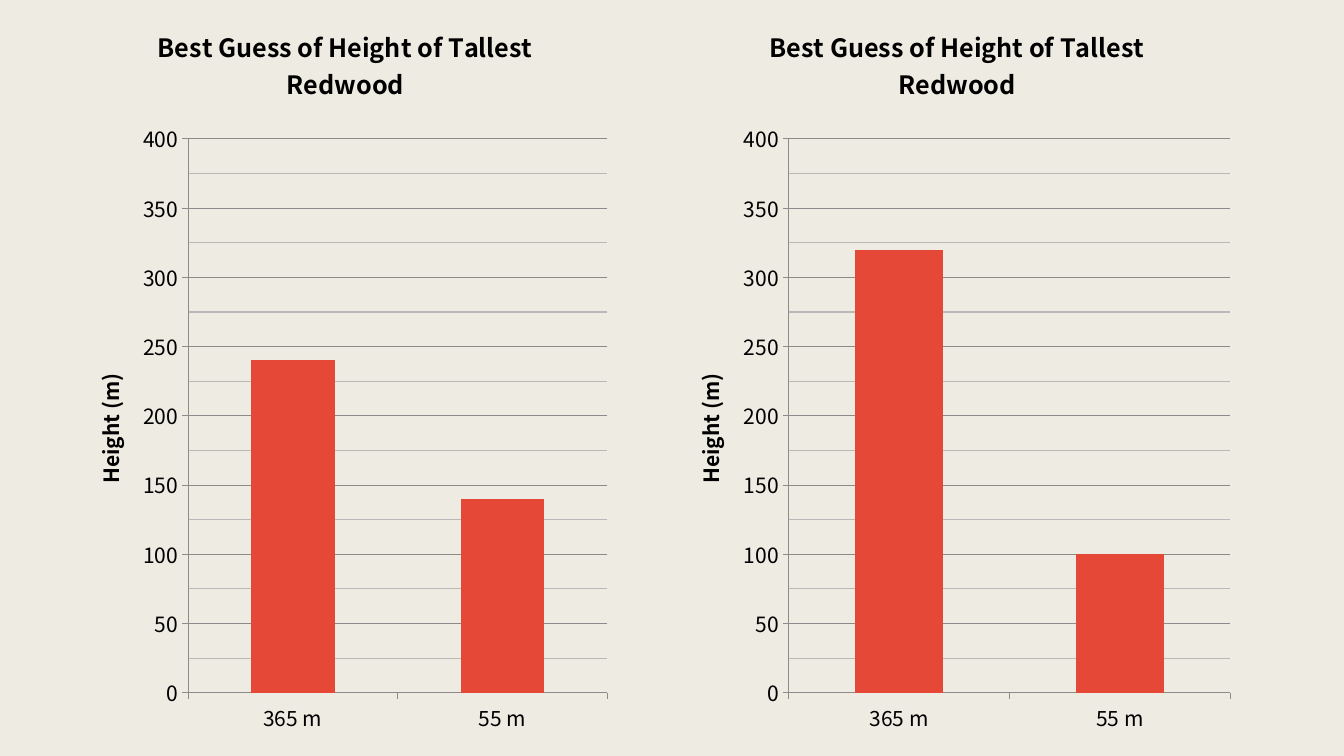
from pptx import Presentation
from pptx.chart.data import CategoryChartData as ChartData
from pptx.dml.color import RGBColor
from pptx.enum.chart import XL_CHART_TYPE as Kind, XL_TICK_MARK as Tick
from pptx.oxml import parse_xml
from pptx.oxml.ns import nsdecls, qn
from pptx.util import Pt

# Content
TITLE = "Best Guess of Height of Tallest Redwood"
UNIT = "Height (m)"
CATS = ["365 m", "55 m"]
# left edge, width, heights
CHARTS = [
    (51.1, 391, (240, 140)),
    (480.2, 406.8, (320, 100)),
]

# Style
FONT = "Noto Sans CJK JP"
PAPER, INK, BAR = "EEEBE2", "000000", "E54837"
MAJOR, MINOR = "8B8B8B", "B9B9B9"
TALL = 535
PAD_L, PAD_R, PAD_T, PLOT_H = 83.2, 8.2, 99.3, 395.6


def color(code):
    return RGBColor.from_string(code)


def style(font, size, bold=False):
    font.name, font.size, font.bold = FONT, Pt(size), bold
    font.color.rgb = color(INK)


def label(title, text, size):
    frame = title.text_frame
    frame.text = text
    style(frame.paragraphs[0].runs[0].font, size, True)


def rule(line, code):
    line.color.rgb = color(code)
    line.width = Pt(0.75)


def tint_minor(axis, code):
    """Color the minor gridlines."""
    grid = axis._element.find(qn("c:minorGridlines"))
    grid.append(parse_xml(
        f'<c:spPr {nsdecls("c", "a")}><a:ln w="{Pt(0.75)}"><a:solidFill>'
        f'<a:srgbClr val="{code}"/></a:solidFill></a:ln></c:spPr>'))


def place(chart, wide):
    """Fix the inner plot area as fractions of the chart."""
    area = chart._chartSpace.chart.plotArea
    for old in area.findall(qn("c:layout")):
        area.remove(old)
    parts = {
        "x": PAD_L / wide,
        "y": PAD_T / TALL,
        "w": (wide - PAD_L - PAD_R) / wide,
        "h": PLOT_H / TALL,
    }
    body = '<c:layoutTarget val="inner"/>'
    body += "".join(f'<c:{k}Mode val="edge"/>' for k in "xy")
    body += "".join(f'<c:{k} val="{v:.4f}"/>' for k, v in parts.items())
    area.insert(0, parse_xml(
        f'<c:layout {nsdecls("c")}><c:manualLayout>{body}'
        "</c:manualLayout></c:layout>"))


def draw(slide, left, wide, vals):
    data = ChartData()
    data.categories = CATS
    data.add_series("Series 1", vals)
    chart = slide.shapes.add_chart(
        Kind.COLUMN_CLUSTERED, Pt(left), Pt(0), Pt(wide), Pt(TALL), data).chart
    style(chart.font, 10)
    chart.has_legend = False
    chart.has_title = True
    label(chart.chart_title, TITLE, 18)

    # Bars
    plot = chart.plots[0]
    plot.gap_width = 150
    plot.vary_by_categories = False
    fill = plot.series[0].format.fill
    fill.solid()
    fill.fore_color.rgb = color(BAR)

    # Axes and grid
    cat, val = chart.category_axis, chart.value_axis
    for axis in (cat, val):
        style(axis.tick_labels.font, 15)
        axis.major_tick_mark = Tick.OUTSIDE
        axis.minor_tick_mark = Tick.NONE
        rule(axis.format.line, MAJOR)
    val.minimum_scale, val.maximum_scale = 0, 400
    val.major_unit, val.minor_unit = 50, 25
    val.has_major_gridlines = val.has_minor_gridlines = True
    rule(val.major_gridlines.format.line, MAJOR)
    tint_minor(val, MINOR)
    val.has_title = True
    label(val.axis_title, UNIT, 15)
    place(chart, wide)


def main():
    prs = Presentation()
    prs.slide_width, prs.slide_height = Pt(960), Pt(540)
    slide = prs.slides.add_slide(prs.slide_layouts[6])
    back = slide.background.fill
    back.solid()
    back.fore_color.rgb = color(PAPER)
    for left, wide, vals in CHARTS:
        draw(slide, left, wide, vals)
    prs.save("out.pptx")


if __name__ == "__main__":
    main()
